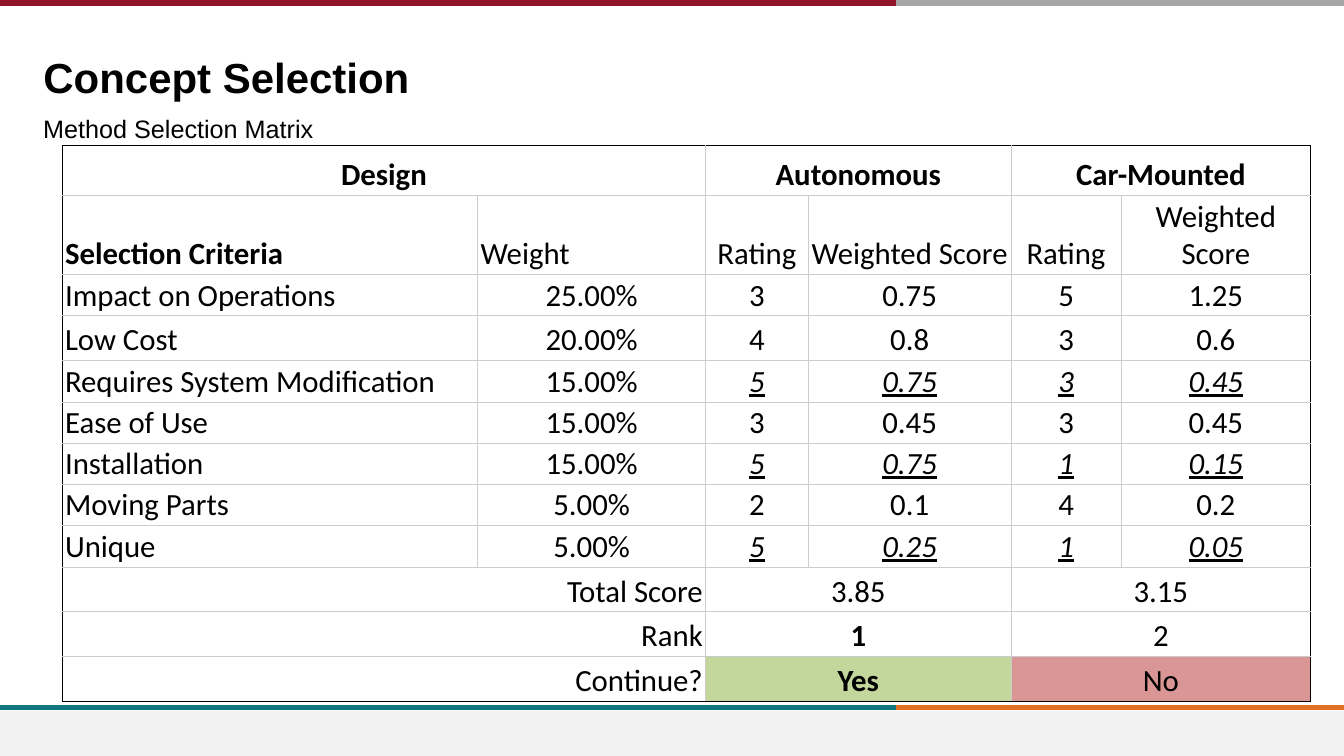
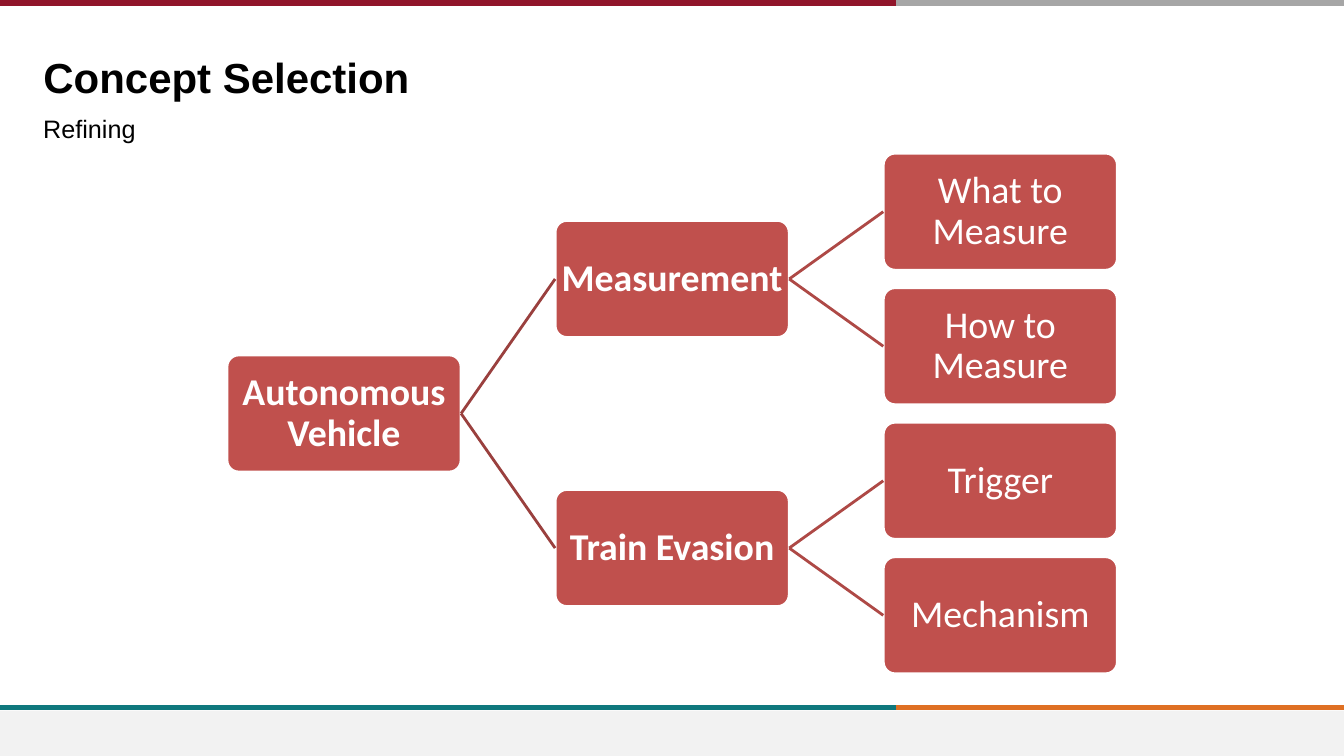
from lxml import etree
from pptx import Presentation
from pptx.dml.color import RGBColor
from pptx.enum.shapes import MSO_CONNECTOR, MSO_SHAPE
from pptx.enum.text import MSO_ANCHOR, MSO_AUTO_SIZE, PP_ALIGN
from pptx.oxml import parse_xml
from pptx.oxml.ns import nsdecls, qn
from pptx.util import Cm, Pt

STRAIGHT = MSO_CONNECTOR.STRAIGHT
RECTANGLE = MSO_SHAPE.RECTANGLE
ROUNDED = MSO_SHAPE.ROUNDED_RECTANGLE
TOP, MIDDLE, BOTTOM = MSO_ANCHOR.TOP, MSO_ANCHOR.MIDDLE, MSO_ANCHOR.BOTTOM
NO_FIT = MSO_AUTO_SIZE.NONE
LEFT, CENTER, RIGHT = PP_ALIGN.LEFT, PP_ALIGN.CENTER, PP_ALIGN.RIGHT

BLACK = RGBColor(0x00, 0x00, 0x00)
WHITE = RGBColor(0xFF, 0xFF, 0xFF)
CRIMSON = RGBColor(0x90, 0x15, 0x2A)
GREY = RGBColor(0xA6, 0xA6, 0xA6)
TEAL = RGBColor(0x0F, 0x78, 0x7D)
ORANGE = RGBColor(0xDF, 0x70, 0x23)
FOOTER_GREY = RGBColor(0xF2, 0xF2, 0xF2)
GRID_GREY = RGBColor(0xCC, 0xCC, 0xCC)
GREEN = RGBColor(0xC3, 0xD6, 0x9B)
PINK = RGBColor(0xD9, 0x96, 0x94)
NODE_RED = RGBColor(0xC0, 0x50, 0x4D)
BRANCH_COLORS = [RGBColor(0x9A, 0x40, 0x3E), RGBColor(0xAE, 0x49, 0x46)]

PAGE_WIDTH, PAGE_HEIGHT = 33.87, 19.05
BAND_SPLIT = 22.58
FOOTER_TOP = 17.91
BANDS = [
    (0, BAND_SPLIT, 0.08, CRIMSON),
    (BAND_SPLIT, PAGE_WIDTH, 0.08, GREY),
    (0, BAND_SPLIT, 17.83, TEAL),
    (BAND_SPLIT, PAGE_WIDTH, 17.83, ORANGE),
]

TITLE = "Concept Selection"
MATRIX_SUBTITLE = "Method Selection Matrix"
TREE_SUBTITLE = "Refining"

COLUMN_WIDTHS = [10.47, 5.74, 2.59, 5.11, 2.77, 4.78]
HEADINGS = [
    ("Design", None, "Autonomous", None, "Car-Mounted", None),
    ("Selection Criteria", "Weight", "Rating", "Weighted Score", "Rating", "Weighted Score"),
]
CRITERIA = [
    ("Impact on Operations", "25.00%", "3", "0.75", "5", "1.25"),
    ("Low Cost", "20.00%", "4", "0.8", "3", "0.6"),
    ("Requires System Modification", "15.00%", "5", "0.75", "3", "0.45"),
    ("Ease of Use", "15.00%", "3", "0.45", "3", "0.45"),
    ("Installation", "15.00%", "5", "0.75", "1", "0.15"),
    ("Moving Parts", "5.00%", "2", "0.1", "4", "0.2"),
    ("Unique", "5.00%", "5", "0.25", "1", "0.05"),
]
RESULTS = [
    ("Total Score", None, "3.85", None, "3.15", None),
    ("Rank", None, "1", None, "2", None),
    ("Continue?", None, "Yes", None, "No", None),
]
MATRIX = HEADINGS + CRITERIA + RESULTS
FIRST_RESULT = len(HEADINGS) + len(CRITERIA)
DEFAULT_ROW_HEIGHT = 1.04
ROW_HEIGHTS = {0: 1.26, 1: 1.99, 3: 1.13, 9: 1.13, 10: 1.13, 11: 1.13}
BOLD_CELLS = {(0, 0), (0, 2), (0, 4), (1, 0), (10, 2), (11, 2)}
EMPHASIZED_CRITERIA = {"Requires System Modification", "Installation", "Unique"}
VERDICT_FILLS = {"Yes": GREEN, "No": PINK}

TREE = ("Autonomous Vehicle", [
    ("Measurement", [("What to Measure", []), ("How to Measure", [])]),
    ("Train Evasion", [("Trigger", []), ("Mechanism", [])]),
])
NODE_WIDTH, NODE_HEIGHT = 5.9, 2.95
TREE_LEFT, TREE_TOP = 5.72, 3.86
LEVEL_PITCH, LEAF_PITCH = 8.27, 3.39
LEFT_SITE, RIGHT_SITE = 1, 3


def set_font(para, name, size, color, bold=False):
    font = para.font
    font.name, font.size, font.bold = name, Pt(size), bold
    font.color.rgb = color


def add_line(page, start, end, color, width):
    line = page.shapes.add_connector(STRAIGHT, *(Cm(value) for value in start + end))
    line.line.color.rgb = color
    line.line.width = Pt(width)
    etree.SubElement(line.element.spPr, qn("a:effectLst"))
    return line


def add_filled(page, kind, left, top, width, height, color):
    shape = page.shapes.add_shape(kind, Cm(left), Cm(top), Cm(width), Cm(height))
    shape.shadow.inherit = False
    shape.fill.solid()
    shape.fill.fore_color.rgb = color
    shape.line.fill.background()
    return shape


def move_bands_to_layout(page):
    layout = page.slide_layout
    for holder in list(layout.placeholders):
        if holder.placeholder_format.idx != 0:
            holder.element.getparent().remove(holder.element)
    bands = [add_filled(page, RECTANGLE, 0, FOOTER_TOP, PAGE_WIDTH,
                        PAGE_HEIGHT - FOOTER_TOP, FOOTER_GREY)]
    bands += [add_line(page, (left, y), (right, y), color, 4)
              for left, right, y, color in BANDS]
    for band in bands:
        layout.shapes.element.append(band.element)


def fill_heading(box, text, top, width, height, anchor, size, bold):
    box.left, box.top, box.width, box.height = Cm(0.84), Cm(top), Cm(width), Cm(height)
    frame = box.text_frame
    frame.text = text
    frame.word_wrap = True
    frame.auto_size = NO_FIT
    frame.vertical_anchor = anchor
    para = frame.paragraphs[0]
    para.alignment = LEFT
    set_font(para, "Arial", size, BLACK, bold)


def add_page(deck, subtitle):
    page = deck.slides.add_slide(deck.slide_layouts[5])
    fill_heading(page.shapes.title, TITLE, 1.19, 27.05, 1.5, MIDDLE, 30, True)
    box = page.shapes.add_textbox(0, 0, 0, 0)
    fill_heading(box, subtitle, 2.72, 32.18, 1.14, TOP, 18, False)
    return page


def set_borders(cell, edges):
    properties = cell._tc.get_or_add_tcPr()
    for position, (side, color) in enumerate(edges.items()):
        properties.insert(position, parse_xml(
            f'<a:ln{side} {nsdecls("a")} w="{Pt(0.75)}"><a:solidFill>'
            f'<a:srgbClr val="{color}"/></a:solidFill></a:ln{side}>'))


def matrix_alignment(row, column):
    if row >= FIRST_RESULT and column == 0:
        return RIGHT
    if row > 0 and column == 0 or (row, column) == (1, 1):
        return LEFT
    return CENTER


def fill_cell(cell, row, column, text):
    cell.margin_left = cell.margin_right = Cm(0.07)
    cell.margin_top = cell.margin_bottom = Cm(0.04)
    cell.vertical_anchor = BOTTOM
    if text in VERDICT_FILLS:
        cell.fill.solid()
        cell.fill.fore_color.rgb = VERDICT_FILLS[text]
    else:
        cell.fill.background()
    last_column = column + cell.span_width == len(COLUMN_WIDTHS)
    outer = {"L": column == 0, "R": last_column,
             "T": row == 0, "B": row == len(MATRIX) - 1}
    set_borders(cell, {side: BLACK if edge else GRID_GREY for side, edge in outer.items()})
    if text is None:
        return
    cell.text = text
    para = cell.text_frame.paragraphs[0]
    para.alignment = matrix_alignment(row, column)
    set_font(para, "Calibri", 22, BLACK, (row, column) in BOLD_CELLS)
    if MATRIX[row][0] in EMPHASIZED_CRITERIA and column >= 2:
        para.font.italic = para.font.underline = True


def add_matrix(page):
    heights = [ROW_HEIGHTS.get(row, DEFAULT_ROW_HEIGHT) for row in range(len(MATRIX))]
    table = page.shapes.add_table(len(MATRIX), len(COLUMN_WIDTHS), Cm(1.57), Cm(3.67),
                                  Cm(sum(COLUMN_WIDTHS)), Cm(sum(heights))).table
    table.first_row = table.horz_banding = False
    for column, width in zip(table.columns, COLUMN_WIDTHS):
        column.width = Cm(width)
    for row, height in zip(table.rows, heights):
        row.height = Cm(height)
    for row, texts in enumerate(MATRIX):
        for column, text in enumerate(texts):
            if text is None:
                table.cell(row, column - 1).merge(table.cell(row, column))
    for row, texts in enumerate(MATRIX):
        for column, text in enumerate(texts):
            fill_cell(table.cell(row, column), row, column, text)


def add_node(page, text, left, top, bold):
    node = add_filled(page, ROUNDED, left, top, NODE_WIDTH, NODE_HEIGHT, NODE_RED)
    node.adjustments[0] = 0.1
    node.line.color.rgb = WHITE
    node.line.width = Pt(2)
    frame = node.text_frame
    frame.word_wrap = True
    frame.vertical_anchor = MIDDLE
    frame.margin_left = frame.margin_right = 0
    frame.margin_top = frame.margin_bottom = 0
    frame.text = text
    para = frame.paragraphs[0]
    para.alignment = CENTER
    para.line_spacing = 0.9
    set_font(para, "Calibri", 27, WHITE, bold)
    return node


def add_branch(page, tree, level=0, first_leaf=0):
    text, children = tree
    left = TREE_LEFT + level * LEVEL_PITCH
    branches = []
    next_leaf = first_leaf
    for child in children:
        branch = add_branch(page, child, level + 1, next_leaf)
        branches.append(branch)
        next_leaf = branch[2]
    if branches:
        top = (branches[0][1] + branches[-1][1]) / 2
    else:
        top = TREE_TOP + first_leaf * LEAF_PITCH
        next_leaf += 1
    node = add_node(page, text, left, top, bool(children))
    for child_node, child_top, _ in branches:
        start = (left + NODE_WIDTH, top + NODE_HEIGHT / 2)
        end = (left + LEVEL_PITCH, child_top + NODE_HEIGHT / 2)
        line = add_line(page, start, end, BRANCH_COLORS[level], 2)
        line.begin_connect(node, RIGHT_SITE)
        line.end_connect(child_node, LEFT_SITE)
    return node, top, next_leaf


def main():
    deck = Presentation()
    deck.slide_width, deck.slide_height = Cm(PAGE_WIDTH), Cm(PAGE_HEIGHT)
    matrix_page = add_page(deck, MATRIX_SUBTITLE)
    move_bands_to_layout(matrix_page)
    add_matrix(matrix_page)
    add_branch(add_page(deck, TREE_SUBTITLE), TREE)
    deck.save("out.pptx")


if __name__ == "__main__":
    main()
